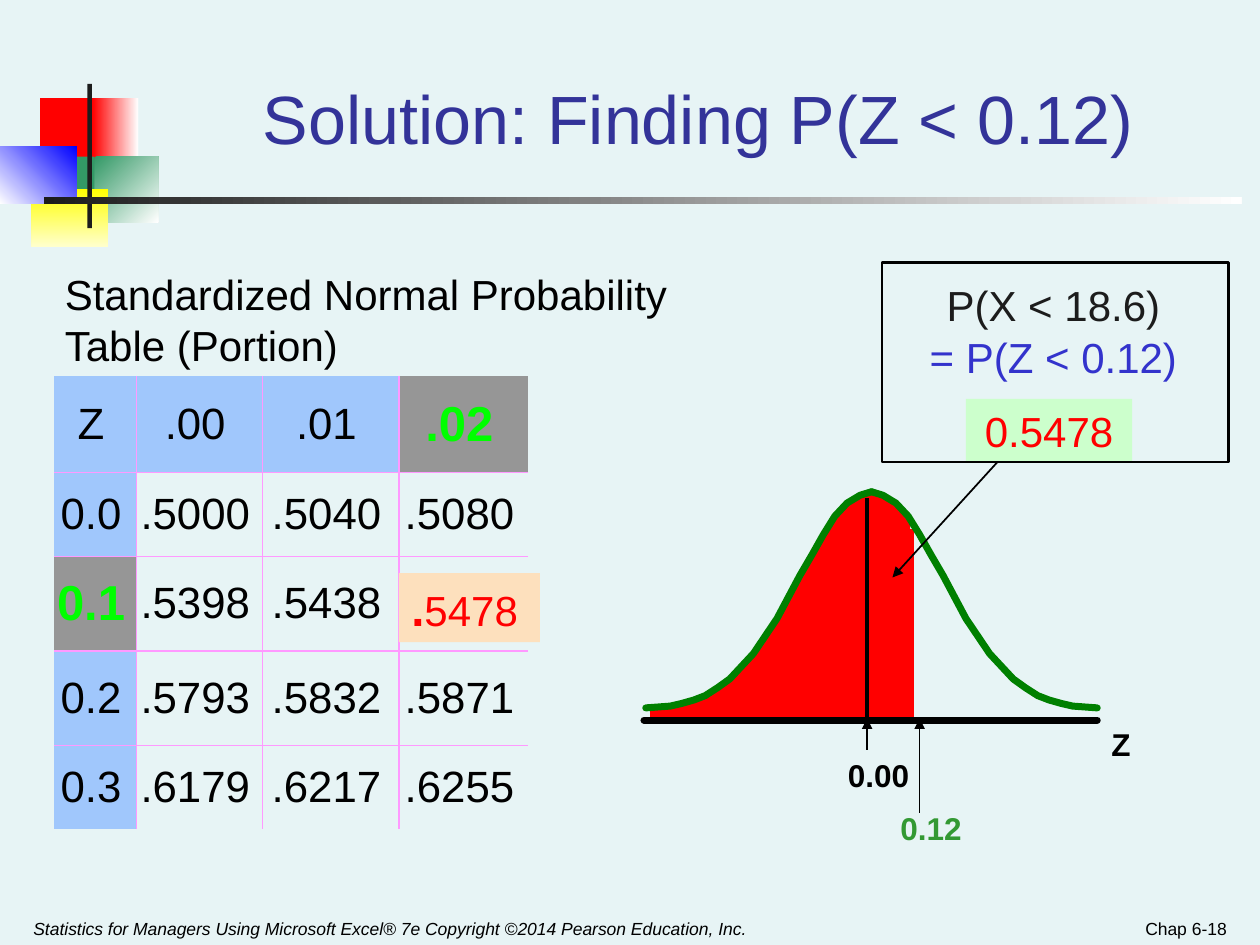
from lxml.etree import SubElement as Sub
from pptx import Presentation as Deck
from pptx.dml.color import RGBColor as Rgb
from pptx.enum.shapes import MSO_CONNECTOR as Conn, MSO_SHAPE as Kind
from pptx.enum.text import MSO_ANCHOR as Anchor, PP_ALIGN as Align
from pptx.oxml.ns import qn
from pptx.util import Pt

BLACK, RED, PINK, GREEN = "000000", "FF0000", "FF99FF", "008000"
BLUE, GRAY, LIME = "A0C7FC", "969696", "00FF00"
PLAIN = "{2D5ABB26-0587-4C30-8999-92F81FD0307C}"

HEAD = [
    (23, 56, 34.5, 37.5, RED),
    (53, 56, 26, 37.5, (RED, "FFFFFF", 0)),
    (54, 89.5, 36.5, 37.5, ("339966", "FFFFFF", 45)),
    (31, 89.5, 23, 37.5, "339966"),
    (18, 108, 44, 33, ("FFFF00", "FFFFCC", 90)),
    (0, 83.5, 44, 33, ("FFFFFF", "0000FF", 315)),
    (50, 48, 2.5, 82.5, "1C1C1C"),
    (25, 112.5, 684.5, 4, ("1C1C1C", "FFFFFF", 0)),
]

ROWS = [
    ["Z", ".00", ".01", ".02"],
    ["0.0", ".5000", ".5040", ".5080"],
    ["0.1", ".5398", ".5438", ""],
    ["0.2", ".5793", ".5832", ".5871"],
    ["0.3", ".6179", ".6217", ".6255"],
]
WIDE = [47, 72, 78, 74]
HIGH = [55, 48, 54, 54, 48]
MARKED = {(0, 3), (2, 0)}

MID = 498
HALF = [
    (129, 404.5), (115, 403.5), (108.5, 402), (101.5, 400), (95, 397.5),
    (88, 393), (81, 388), (67.5, 373.5), (54, 353.5), (41, 329), (34, 317),
    (27.5, 305.5), (21, 295), (14, 287.5), (6.5, 283), (0, 281),
]
AREAS = [
    [(495.5, 411), (494.5, 282), (483, 291), (471, 303), (463, 320),
     (451.5, 338.5), (445, 350.5), (437, 364.5), (429, 375), (417, 389),
     (397.5, 400.5), (372, 404.5), (372, 412.5)],
    [(497, 411), (519, 412), (520.5, 409.5), (518.5, 396.5), (514, 394),
     (504, 399.5), (496, 403), (495.5, 410)],
    [(495.5, 405.5), (497, 353.5), (495.5, 300), (494, 286), (497, 282),
     (508, 286), (518.5, 296), (520, 299), (518.5, 309), (520, 338),
     (520, 390), (513.5, 404.5)],
]


def tint(code):
    return Rgb.from_string(code)


def paint(fill, color):
    if color is None:
        fill.background()
    elif isinstance(color, str):
        fill.solid()
        fill.fore_color.rgb = tint(color)
    else:
        fill.gradient()
        fill.gradient_angle = (360 - color[2]) % 360
        for stop, code in zip(fill.gradient_stops, color):
            stop.color.rgb = tint(code)


def stroke(line, color, width):
    line.color.rgb = tint(color)
    line.width = Pt(width)


def style(para, size, color, bold=False, slant=False):
    font = para.font
    font.name, font.size = "Arial", Pt(size)
    font.color.rgb = tint(color)
    font.bold, font.italic = bold, slant


def rect(slide, left, top, width, height, color=None):
    shape = slide.shapes.add_shape(
        Kind.RECTANGLE, Pt(left), Pt(top), Pt(width), Pt(height))
    shape.shadow.inherit = False
    paint(shape.fill, color)
    shape.line.fill.background()
    return shape


def write(shape, lines, size, color, align=Align.LEFT, anchor=Anchor.TOP,
          wrap=True, bold=False, slant=False):
    frame = shape.text_frame
    frame.word_wrap = wrap
    frame.vertical_anchor = anchor
    frame.text = lines
    for para in frame.paragraphs:
        para.alignment = align
        style(para, size, color, bold, slant)
    return frame


def label(slide, area, lines, size, color, **opts):
    box = slide.shapes.add_textbox(*map(Pt, area))
    return write(box, lines, size, color, **opts)


def rule(slide, start, end, color, width, arrow=False, cap="flat"):
    line = slide.shapes.add_connector(
        Conn.STRAIGHT, *map(Pt, (*start, *end)))
    stroke(line.line, color, width)
    edge = line.line._get_or_add_ln()
    edge.set("cap", cap)
    if arrow:
        Sub(edge, qn("a:tailEnd"), type="triangle")
    Sub(line._element.spPr, qn("a:effectLst"))


def trace(slide, points, color, width, fill=None):
    spots = [(Pt(x), Pt(y)) for x, y in points]
    pen = slide.shapes.build_freeform(*spots[0], scale=1.0)
    pen.add_line_segments(spots[1:], close=fill is not None)
    shape = pen.convert_to_shape()
    shape.shadow.inherit = False
    paint(shape.fill, fill)
    stroke(shape.line, color, width)
    edge = shape.line._get_or_add_ln()
    edge.set("cap", "rnd")
    Sub(edge, qn("a:round"))


def border(cell, side):
    edge = Sub(cell._tc.get_or_add_tcPr(), qn(side), w=str(Pt(0.75)))
    fill = Sub(edge, qn("a:solidFill"))
    Sub(fill, qn("a:srgbClr"), val=PINK)


def grid(slide):
    table = slide.shapes.add_table(
        len(ROWS), len(WIDE), Pt(31), Pt(215), Pt(sum(WIDE)),
        Pt(sum(HIGH))).table
    table._tbl.tblPr.find(qn("a:tableStyleId")).text = PLAIN
    table.first_row = table.horz_banding = False
    for col, width in zip(table.columns, WIDE):
        col.width = Pt(width)
    for row, height in zip(table.rows, HIGH):
        row.height = Pt(height)
    for r, row in enumerate(ROWS):
        for c, text in enumerate(row):
            cell = table.cell(r, c)
            mark = (r, c) in MARKED
            cell.text = text
            cell.vertical_anchor = Anchor.MIDDLE
            cell.margin_left = cell.margin_top = cell.margin_bottom = 0
            cell.margin_right = Pt(5)
            para = cell.text_frame.paragraphs[0]
            para.alignment = Align.CENTER
            style(para, 28 if mark else 25, LIME if mark else BLACK, mark)
            if c < len(WIDE) - 1:
                border(cell, "a:lnR")
            if r < len(ROWS) - 1:
                border(cell, "a:lnB")
            shade = BLUE if r == 0 or c == 0 else None
            paint(cell.fill, GRAY if mark else shade)


def curve(slide):
    for area in AREAS:
        trace(slide, area, RED, 1, RED)
    rule(slide, (520, 302.5), (520, 410.5), RED, 5)
    rule(slide, (495.5, 284.5), (495.5, 410.5), BLACK, 2.5)
    for sign in (1, -1):
        trace(slide, [(MID + sign * x, y) for x, y in HALF], GREEN, 4)
    rule(slide, (368, 411.5), (627, 411.5), BLACK, 4, cap="rnd")
    label(slide, (628, 410.5, 30, 29), "Z", 18, BLACK, bold=True)
    for area, text, color in [((477.5, 428.5, 50, 29), "0.00", BLACK),
                              ((507.5, 458.5, 50, 29), "0.12", "339933")]:
        label(slide, area, text, 18, color, wrap=False, bold=True)
    for start, end in [((495.5, 428.5), (495.5, 410.5)),
                       ((525.5, 464.5), (525.5, 410.5)),
                       ((570, 264), (510, 330))]:
        rule(slide, start, end, BLACK, 1, arrow=True)


def result(slide):
    write(rect(slide, 552, 228, 95, 36, "CCFFCC"), "0.5478", 24, RED,
          align=Align.CENTER)
    for top, text, color in [(156, "P(X < 18.6)", "1C1C1C"),
                             (186, "= P(Z < 0.12)", "3333CC")]:
        label(slide, (508, top, 188, 36), text, 24, color,
              align=Align.CENTER)
    stroke(rect(slide, 504, 150, 198, 114).line, BLACK, 1.5)


def main():
    deck = Deck()
    deck.slide_width, deck.slide_height = Pt(720), Pt(540)
    slide = deck.slides.add_slide(deck.slide_layouts[6])
    paint(slide.background.fill, "E7F4F5")
    for block in HEAD:
        rect(slide, *block)
    title = label(slide, (90, 24, 618, 90), "Solution: Finding P(Z < 0.12)",
                  39, "333399", align=Align.CENTER, anchor=Anchor.MIDDLE)
    title.paragraphs[0].line_spacing = 0.95
    label(slide, (12, 515, 450, 25),
          "Statistics for Managers Using Microsoft Excel® 7e "
          "Copyright ©2014 Pearson Education, Inc.",
          10, BLACK, anchor=Anchor.BOTTOM, slant=True)
    label(slide, (540, 515, 168, 25), "Chap 6-18", 10, BLACK,
          align=Align.RIGHT, anchor=Anchor.BOTTOM)
    curve(slide)
    grid(slide)
    key = write(rect(slide, 228, 327.5, 80.5, 39.5, "FDE0BD"), ".", 24, RED)
    dot = key.paragraphs[0].runs[0].font
    dot.size, dot.bold = Pt(27), True
    key.paragraphs[0].add_run().text = "5478"
    intro = label(slide, (30, 150, 360, 63),
                  "Standardized Normal Probability\nTable (Portion)",
                  24, BLACK)
    intro.paragraphs[1].line_spacing = 0.4
    intro.paragraphs[1].space_before = Pt(15)
    result(slide)
    deck.save("out.pptx")


if __name__ == "__main__":
    main()
